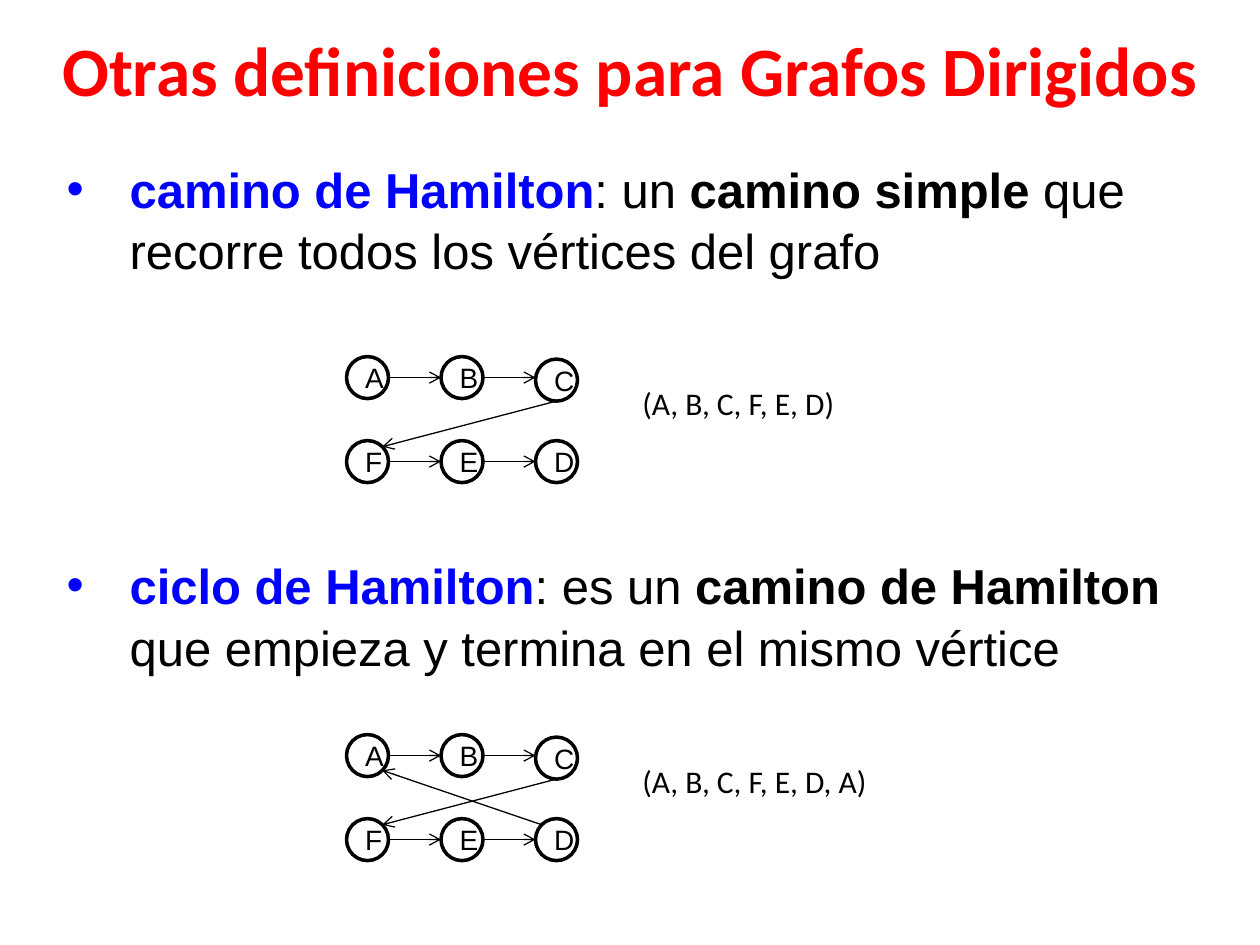
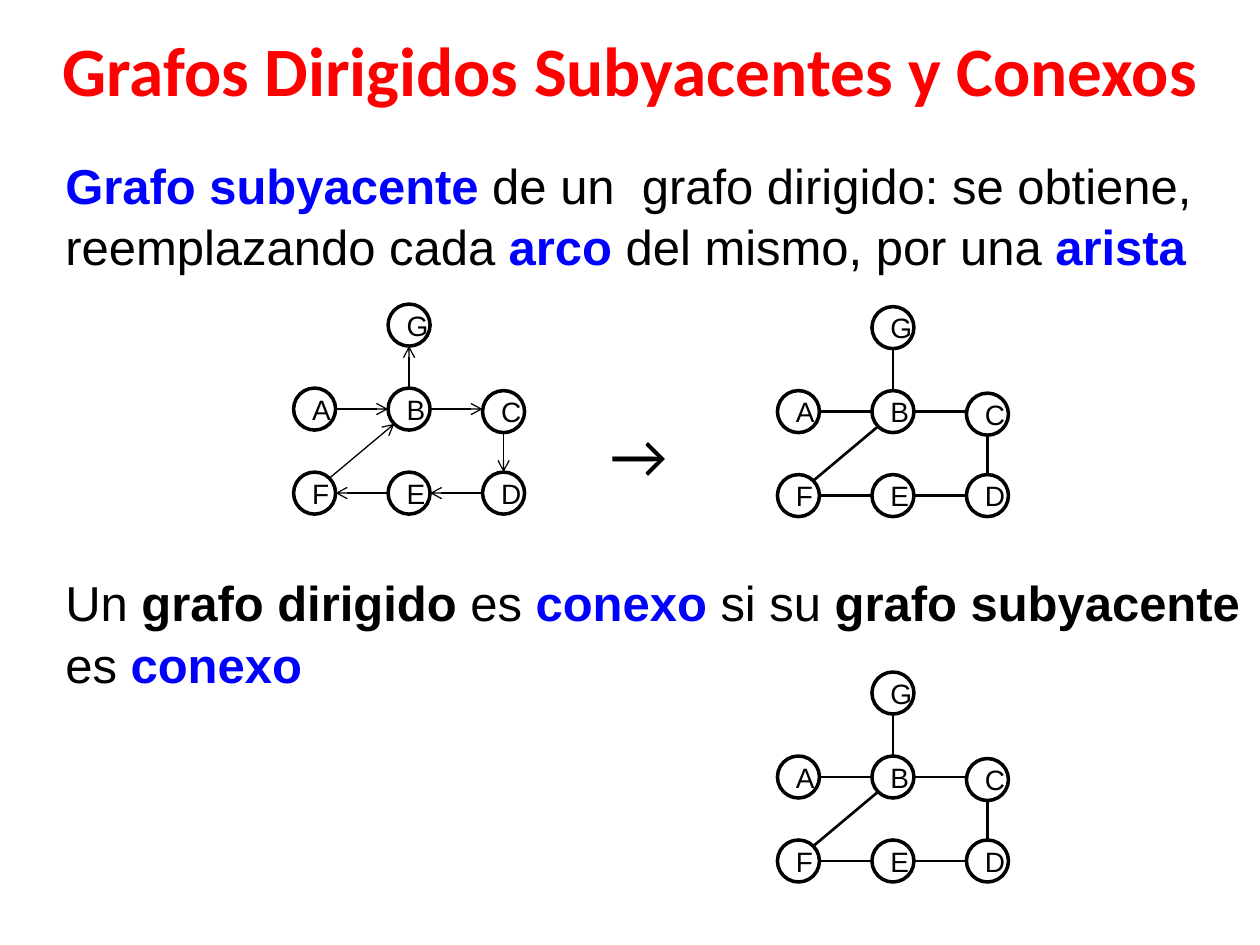
from math import sqrt

from lxml.etree import SubElement
from pptx import Presentation
from pptx.dml.color import RGBColor
from pptx.enum.shapes import MSO_CONNECTOR as CONN, MSO_SHAPE as SHAPE
from pptx.enum.text import MSO_ANCHOR as ANCHOR, PP_ALIGN as ALIGN
from pptx.oxml.ns import qn
from pptx.util import Inches, Pt

RED = RGBColor(0xFF, 0x00, 0x00)
BLUE = RGBColor(0x00, 0x00, 0xFF)
BLACK = RGBColor(0x00, 0x00, 0x00)

KEY = dict(color=BLUE, bold=True)
BOLD = dict(bold=True)
PLAIN = dict()

NODE = 1 / 3
COL, ROW = 0.75, 2 / 3
DIAG = sqrt(0.5)
SIDES = {
    "N": (0, -1), "S": (0, 1), "W": (-1, 0), "E": (1, 0),
    "NE": (DIAG, -DIAG), "NW": (-DIAG, -DIAG),
    "SE": (DIAG, DIAG), "SW": (-DIAG, DIAG),
}

PATH_NODES = {"A": (0, 0), "F": (0, 1), "B": (1, 0),
              "E": (1, 1), "C": (2, 0.03), "D": (2, 1)}
CONNECTED_NODES = {**PATH_NODES, "G": (1, -1)}

PATH = ["A E B W", "B E C W", "C S F NE", "F E E W", "E E D W"]
CYCLE = PATH + ["D NW A SE"]
CONNECTED = ["A E B W", "B E C W", "C S D N", "D W E E",
             "E W F E", "F NE B SW", "B N G S"]

SLIDES = [
    dict(
        title="Otras definiciones para Grafos Dirigidos",
        body=(0.43, 1.19, 9.21, 4.34), bullets=True, gap=156,
        paragraphs=[
            [("camino de Hamilton", KEY), (": un ", PLAIN), ("camino simple", BOLD),
             (" que recorre todos los vértices del grafo", PLAIN)],
            [("ciclo de Hamilton", KEY), (": es un ", PLAIN),
             ("camino de Hamilton ", BOLD),
             ("que empieza y termina en el mismo vértice", PLAIN)],
        ],
        graphs=[
            dict(at=(2.75, 2.83), nodes=PATH_NODES, edges=PATH),
            dict(at=(2.75, 5.83), nodes=PATH_NODES, edges=CYCLE),
        ],
        labels=[
            ("(A, B, C, F, E, D)", (5, 3, 2.42, 0.4), 18),
            ("(A, B, C, F, E, D, A)", (5, 6, 2.42, 0.4), 18),
        ],
    ),
    dict(
        title="Grafos Dirigidos Subyacentes y Conexos",
        body=(0.42, 1.16, 9.58, 6.23), bullets=False, gap=168,
        paragraphs=[
            [("Grafo subyacente ", KEY),
             ("de un  grafo dirigido: se obtiene, reemplazando cada ", PLAIN),
             ("arco ", KEY), ("del mismo, por una ", PLAIN), ("arista", KEY)],
            [("Un ", PLAIN), ("grafo dirigido ", BOLD), ("es ", PLAIN),
             ("conexo", KEY), (" si su ", PLAIN), ("grafo subyacente ", BOLD),
             ("es ", PLAIN), ("conexo", KEY)],
        ],
        graphs=[
            dict(at=(2.33, 3.08), nodes=CONNECTED_NODES, edges=CONNECTED),
            dict(at=(6.17, 3.1), nodes=CONNECTED_NODES, edges=CONNECTED, directed=False),
            dict(at=(6.17, 6), nodes=CONNECTED_NODES, edges=CONNECTED, directed=False),
        ],
        labels=[("→", (4.75, 3.25, 0.92, 0.71), 36)],
    ),
]


def add_run(p, text, size=28, font="Arial", color=BLACK, bold=False):
    r = p.add_run()
    r.text = text
    r.font.size, r.font.name, r.font.bold = Pt(size), font, bold
    r.font.color.rgb = color


def add_box(slide, at, anchor=ANCHOR.TOP):
    tf = slide.shapes.add_textbox(*map(Inches, at)).text_frame
    tf.word_wrap = True
    tf.vertical_anchor = anchor
    return tf


def add_label(slide, text, at, align=ALIGN.LEFT, anchor=ANCHOR.TOP, **fmt):
    p = add_box(slide, at, anchor).paragraphs[0]
    p.alignment = align
    add_run(p, text, font="Calibri", **fmt)


def add_bullet(p):
    pPr = p._p.get_or_add_pPr()
    pPr.set("marL", str(Inches(0.5)))
    pPr.set("indent", str(-Inches(0.5)))
    SubElement(pPr, qn("a:buFont"), typeface="Arial")
    SubElement(pPr, qn("a:buChar"), char="•")


def add_body(slide, at, paragraphs, bullets, gap):
    tf = add_box(slide, at)
    for i, runs in enumerate(paragraphs):
        p = tf.add_paragraph() if i else tf.paragraphs[0]
        p.line_spacing = 1.05
        p.space_before = Pt(gap if i else 0)
        if bullets:
            add_bullet(p)
        for text, fmt in runs:
            add_run(p, text, **fmt)


def add_node(shapes, name, x, y):
    sp = shapes.add_shape(SHAPE.OVAL, *map(Inches, (x, y, NODE, NODE)))
    sp.shadow.inherit = False
    sp.fill.background()
    sp.line.color.rgb, sp.line.width = BLACK, Pt(2)
    tf = sp.text_frame
    tf.word_wrap = True
    tf.vertical_anchor = ANCHOR.MIDDLE
    p = tf.paragraphs[0]
    p.alignment = ALIGN.CENTER
    add_run(p, name, size=16)


def add_edge(shapes, start, end, directed):
    line = shapes.add_connector(CONN.STRAIGHT, *map(Inches, start + end))
    line.line.color.rgb = BLACK
    line.line.width = Pt(0.75 if directed else 1.5)
    if directed:
        SubElement(line.line._get_or_add_ln(), qn("a:tailEnd"), type="arrow")
    SubElement(line._element.spPr, qn("a:effectLst"))


def add_graph(slide, at, nodes, edges, directed=True):
    shapes = slide.shapes.add_group_shape().shapes
    corners = {n: (at[0] + c * COL, at[1] + r * ROW) for n, (c, r) in nodes.items()}

    def rim(name, side):
        return tuple(v + NODE / 2 * (1 + d) for v, d in zip(corners[name], SIDES[side]))

    for name, (x, y) in corners.items():
        add_node(shapes, name, x, y)
    for edge in edges:
        tail, tail_side, head, head_side = edge.split()
        start, end = rim(tail, tail_side), rim(head, head_side)
        if tail_side in ("E", "W"):
            end = (end[0], start[1])
        add_edge(shapes, start, end, directed)


def main():
    prs = Presentation()
    prs.slide_width, prs.slide_height = Inches(10), Inches(7.5)
    for page in SLIDES:
        slide = prs.slides.add_slide(prs.slide_layouts[6])
        add_label(slide, page["title"], (0.25, 0.17, 9.5, 0.75), align=ALIGN.CENTER,
                  anchor=ANCHOR.MIDDLE, size=39.6, color=RED, bold=True)
        add_body(slide, page["body"], page["paragraphs"], page["bullets"], page["gap"])
        for graph in page["graphs"]:
            add_graph(slide, **graph)
        for text, at, size in page["labels"]:
            add_label(slide, text, at, size=size)
    prs.save("out.pptx")


if __name__ == "__main__":
    main()
